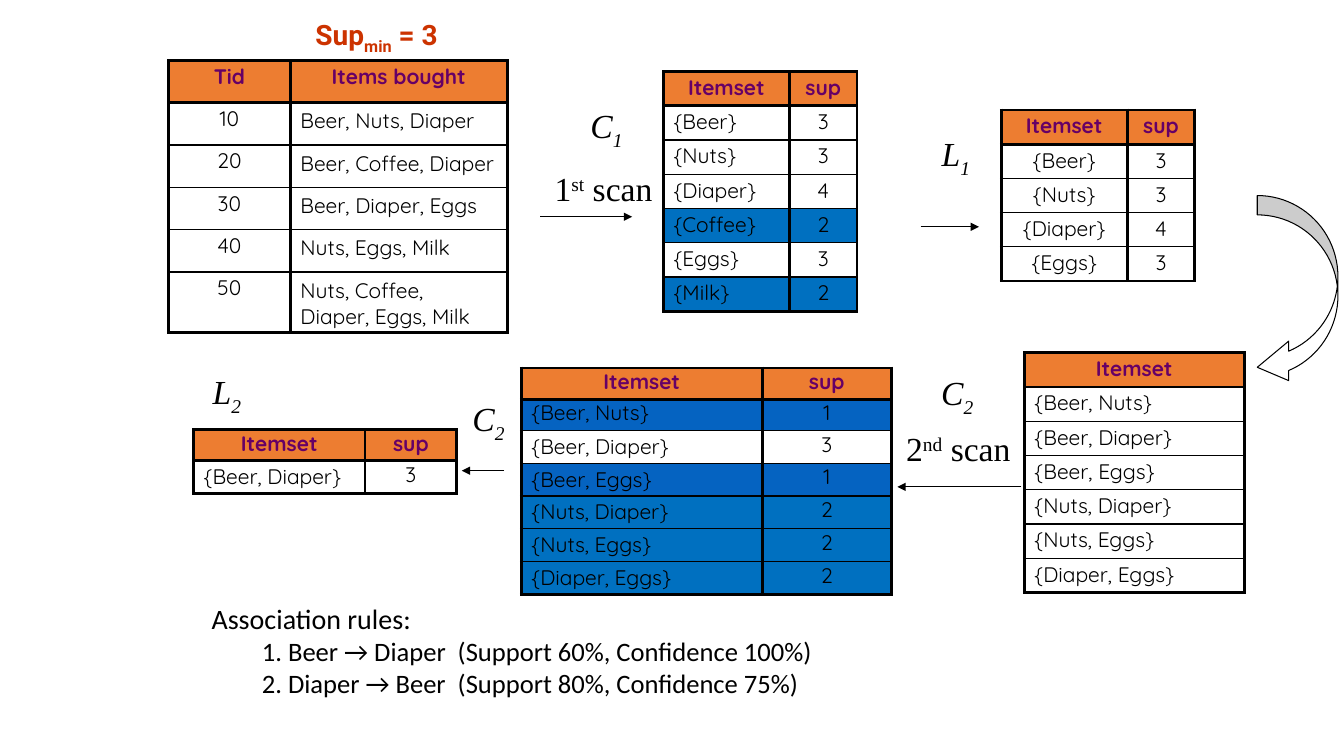
from lxml.etree import SubElement
from pptx import Presentation
from pptx.dml.color import RGBColor
from pptx.enum.shapes import MSO_CONNECTOR as Connector, MSO_SHAPE as Shape
from pptx.enum.text import MSO_ANCHOR as Anchor, MSO_AUTO_SIZE as AutoSize, PP_ALIGN as Align
from pptx.oxml.ns import qn
from pptx.util import Emu, Pt

PX = 9144
BLACK, WHITE, ORANGE, PURPLE, RED = "000000", "FFFFFF", "ED7D31", "660066", "CC3300"
BLUE, DEEP_BLUE = "0070C0", "0563C1"
SERIF, TABLE_FONT, TITLE_FONT, BODY_FONT = "Times New Roman", "Quicksand", "Roboto", "Calibri"
THICK, THIN = 2.25, 1
ALIGNMENTS = {"l": Align.LEFT, "c": Align.CENTER}


def px(*lengths):
    """Turn pixel lengths into EMU."""
    return [Emu(length * PX) for length in lengths]


def colour(value):
    """Turn a hex string into a colour."""
    return RGBColor.from_string(value)


def add_run(paragraph, text, font, size, hue=BLACK, bold=False, italic=False, baseline=0):
    """Append one styled run, raised or lowered by baseline percent."""
    run = paragraph.add_run()
    run.text = text
    run.font.name, run.font.size = font, Pt(size)
    run.font.bold, run.font.italic = bold, italic
    run.font.color.rgb = colour(hue)
    if baseline:
        run.font._element.set("baseline", str(baseline * 1000))


def add_text_box(slide, box, wrap=True):
    """Add an empty text box and return its text frame."""
    frame = slide.shapes.add_textbox(*px(*box)).text_frame
    frame.word_wrap = wrap
    frame.auto_size = AutoSize.SHAPE_TO_FIT_TEXT
    return frame


def add_label(slide, box, pieces, italic=False):
    """Add a centred serif label from (text, baseline) pieces."""
    frame = add_text_box(slide, box, wrap=False)
    frame.vertical_anchor = Anchor.MIDDLE
    paragraph = frame.paragraphs[0]
    paragraph.alignment = Align.CENTER
    for text, baseline in pieces:
        add_run(paragraph, text, SERIF, 24, italic=italic, baseline=baseline)


def add_arrow(slide, start, end, y):
    """Add a thin horizontal arrow."""
    arrow = slide.shapes.add_connector(Connector.STRAIGHT, *px(start, y, end, y))
    arrow.line.color.rgb = colour(BLACK)
    arrow.line.width = Pt(0.75)
    SubElement(arrow.line._get_or_add_ln(), qn("a:tailEnd"), type="triangle")
    SubElement(arrow._element.spPr, qn("a:effectLst"))


def add_curved_arrow(slide, box):
    """Add the curved arrow that leads to the second row of tables."""
    arrow = slide.shapes.add_shape(Shape.CURVED_LEFT_ARROW, *px(*box))
    for index, value in enumerate((0.24, 0.49, 0.39)):
        arrow.adjustments[index] = value
    arrow.shadow.inherit = False
    arrow.fill.solid()
    arrow.fill.fore_color.rgb = colour(WHITE)
    arrow.line.color.rgb = colour(BLACK)
    arrow.line.width = Pt(0.75)


def set_borders(cell, top, bottom):
    """Draw thick side borders and the given top and bottom widths."""
    properties = cell._tc.get_or_add_tcPr()
    for side, width in (("L", THICK), ("R", THICK), ("T", top), ("B", bottom)):
        line = SubElement(properties, qn(f"a:ln{side}"), w=str(Pt(width)))
        fill = SubElement(line, qn("a:solidFill"))
        SubElement(fill, qn("a:srgbClr"), val=BLACK)


def fill_cell(cell, text, header, align, spacing, fill):
    """Write one table cell and paint its background."""
    paragraph = cell.text_frame.paragraphs[0]
    paragraph.alignment = ALIGNMENTS[align]
    paragraph.line_spacing = spacing
    add_run(paragraph, text, TABLE_FONT, 15, PURPLE if header else BLACK, bold=header)
    if fill:
        cell.fill.solid()
        cell.fill.fore_color.rgb = colour(fill)
    else:
        cell.fill.background()


def add_itemset_table(slide, position, widths, row_height, rows, aligns="lc",
                      spacings=(0.9, 0.9), tight_rows=0, thick_rows=1, fills=()):
    """Add a table with an orange header, thick outline and thin inner rules."""
    size = sum(widths), row_height * len(rows)
    table = slide.shapes.add_table(len(rows), len(widths), *px(*position, *size)).table
    table.first_row = table.horz_banding = False
    row_fills = {0: ORANGE, **dict(fills)}
    rules = [THICK if index <= thick_rows or index == len(rows) else THIN
             for index in range(len(rows) + 1)]
    for column, width in zip(table.columns, px(*widths)):
        column.width = width
    for r, texts in enumerate(rows):
        table.rows[r].height = px(row_height)[0]
        for c, text in enumerate(texts):
            cell = table.cell(r, c)
            set_borders(cell, rules[r], rules[r + 1])
            spacing = 0.8 if r < tight_rows else 0.9 if r == 0 else spacings[c]
            fill_cell(cell, text, r == 0, aligns[c] if r else "c", spacing, row_fills.get(r))


def add_title(slide):
    """Add the minimum support heading."""
    paragraph = add_text_box(slide, (303, 12, 192, 43)).paragraphs[0]
    for text, baseline in (("Sup", 0), ("min", -25), (" = 3", 0)):
        add_run(paragraph, text, TITLE_FONT, 20, RED, bold=True, baseline=baseline)


def add_rules(slide):
    """Add the resulting association rules."""
    frame = add_text_box(slide, (200, 592, 667, 108))
    add_run(frame.paragraphs[0], "Association rules:", BODY_FONT, 20)
    for text in ("1. Beer → Diaper  (Support 60%, Confidence 100%)",
                 "2. Diaper → Beer  (Support 80%, Confidence 75%)"):
        paragraph = frame.add_paragraph()
        paragraph.level = 1
        properties = paragraph._p.get_or_add_pPr()
        properties.set("marL", str(50 * PX))
        properties.set("indent", "0")
        add_run(paragraph, text, BODY_FONT, 19)


def add_tables(slide):
    """Add the transactions and every candidate and frequent itemset table."""
    head = ("Itemset", "sup")
    add_itemset_table(slide, (167, 60), (121, 215), 42, [
        ("Tid", "Items bought"), ("10", "Beer, Nuts, Diaper"), ("20", "Beer, Coffee, Diaper"),
        ("30", "Beer, Diaper, Eggs"), ("40", "Nuts, Eggs, Milk"),
        ("50", "Nuts, Coffee, Diaper, Eggs, Milk")],
        aligns="cl", spacings=(0.9, 1.0), thick_rows=2)
    add_itemset_table(slide, (658, 71), (125, 67), 34, [
        head, ("{Beer}", "3"), ("{Nuts}", "3"), ("{Diaper}", "4"), ("{Coffee}", "2"),
        ("{Eggs}", "3"), ("{Milk}", "2")], fills={4: BLUE, 6: BLUE})
    add_itemset_table(slide, (993, 109), (125, 67), 34, [
        head, ("{Beer}", "3"), ("{Nuts}", "3"), ("{Diaper}", "4"), ("{Eggs}", "3")], aligns="cc")
    pairs = [("{Beer, Nuts}", "1"), ("{Beer, Diaper}", "3"), ("{Beer, Eggs}", "1"),
             ("{Nuts, Diaper}", "2"), ("{Nuts, Eggs}", "2"), ("{Diaper, Eggs}", "2")]
    add_itemset_table(slide, (1016, 350), (218,), 34, [row[:1] for row in [head, *pairs]])
    add_itemset_table(slide, (517, 365), (239, 128), 31, [head, *pairs],
                      spacings=(0.9, 0.8), tight_rows=2,
                      fills={1: DEEP_BLUE, 3: DEEP_BLUE, 4: BLUE, 5: BLUE, 6: BLUE})
    add_itemset_table(slide, (192, 426), (170, 91), 31, [head, pairs[1]],
                      spacings=(0.9, 0.8), tight_rows=1)


def main():
    """Build the slide and save it."""
    presentation = Presentation()
    presentation.slide_width, presentation.slide_height = px(1333, 750)
    slide = presentation.slides.add_slide(presentation.slide_layouts[6])
    for box, number, suffix in (((539, 162, 119, 50), "1", "st"), ((887, 420, 127, 50), "2", "nd")):
        add_label(slide, box, [(number, 0), (suffix, 30), (" scan", 0)])
    for letter, index, left, top, width in (
            ("C", "1", 575, 102, 53), ("L", "1", 923, 130, 50), ("L", "2", 200, 366, 50),
            ("C", "2", 458, 393, 53), ("C", "2", 923, 367, 53)):
        add_label(slide, (left, top, width, 50), [(letter, 0), (index, -25)], italic=True)
    for start, end, y in ((536, 627, 215), (1013, 890, 483), (913, 971, 225), (500, 458, 467)):
        add_arrow(slide, start, end, y)
    add_curved_arrow(slide, (1247, 194, 80, 190))
    add_tables(slide)
    add_title(slide)
    add_rules(slide)
    presentation.save("out.pptx")


if __name__ == "__main__":
    main()
